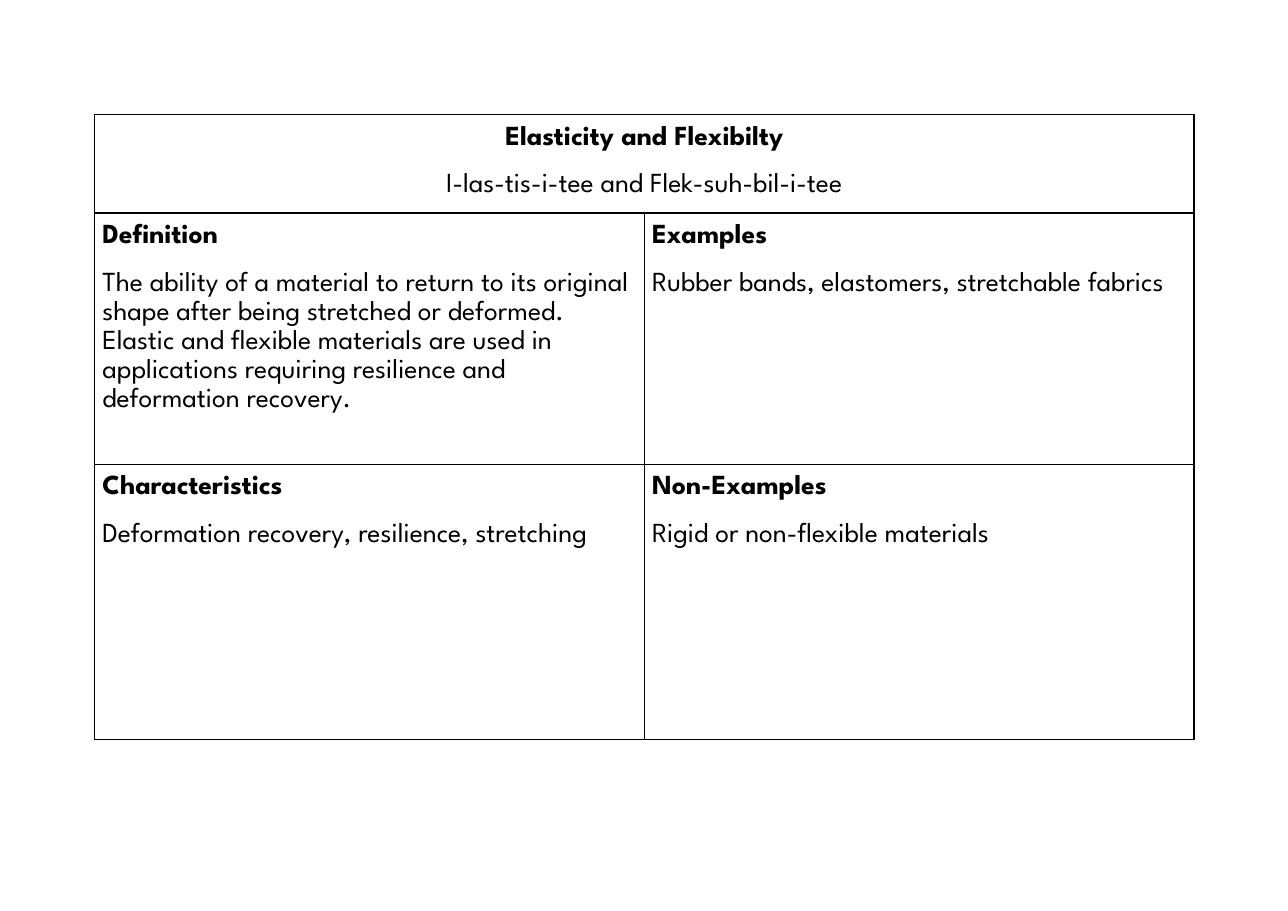
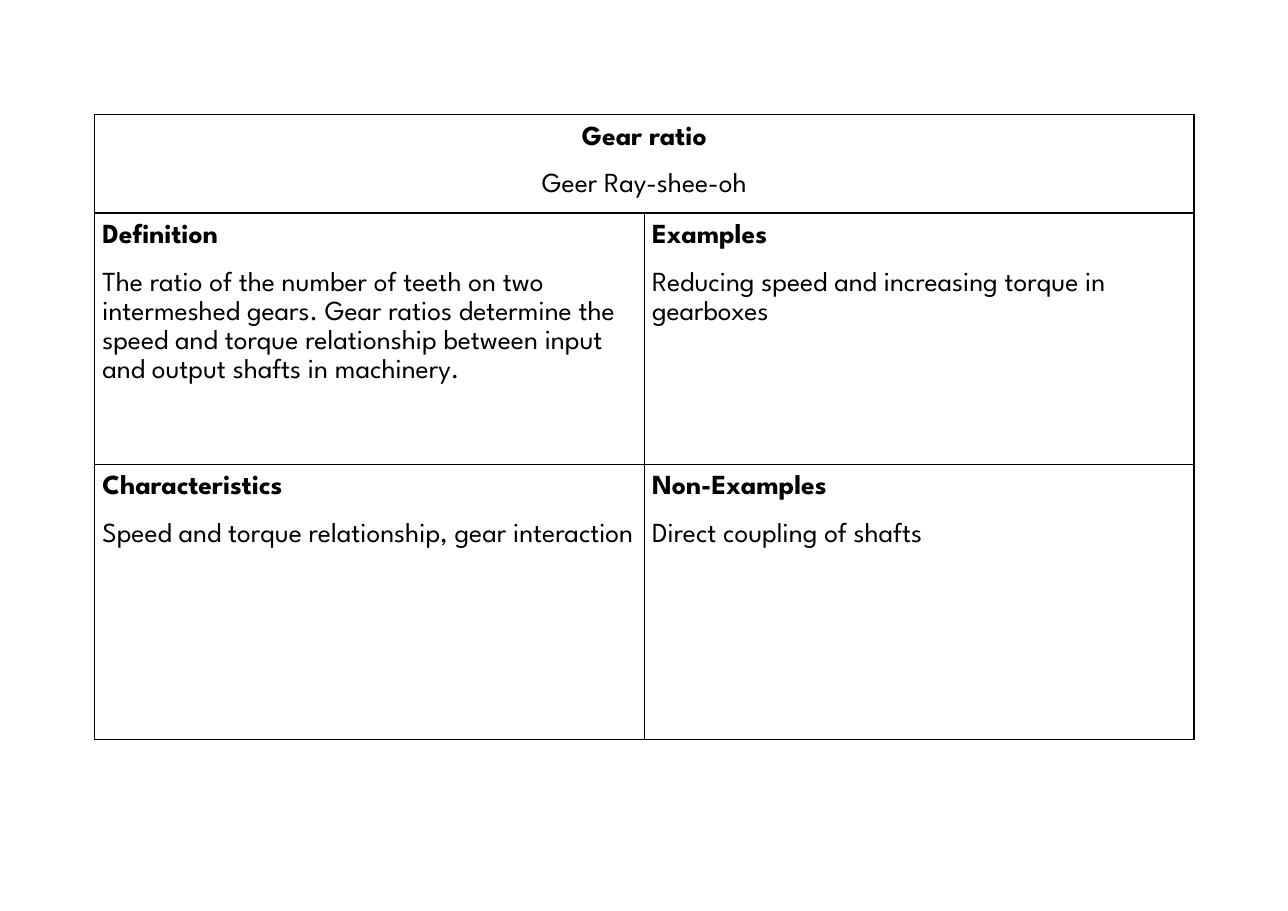
from lxml.etree import SubElement
from pptx import Presentation
from pptx.dml.color import RGBColor as RGB
from pptx.enum.text import PP_ALIGN as AL
from pptx.oxml.ns import qn
from pptx.util import Pt

COLORS = {"text": "000000", "border": "000000"}
FONT = "League Spartan"
LEFT, TOP, INSET = 61.9, 74.9, 5
COL_WIDTH = 359.2
ROW_HEIGHTS = [64.4, 164.2, 180]
HEADINGS = ["Definition", "Examples", "Characteristics", "Non-Examples"]

WORDS = [
    ("Elasticity and Flexibilty", "I-las-tis-i-tee and Flek-suh-bil-i-tee", [
        "The ability of a material to return to its original shape after being "
        "stretched or deformed. Elastic and flexible materials are used in "
        "applications requiring resilience and deformation recovery.",
        "Rubber bands, elastomers, stretchable fabrics",
        "Deformation recovery, resilience, stretching",
        "Rigid or non-flexible materials",
    ]),
    ("Gear ratio", "Geer Ray-shee-oh", [
        "The ratio of the number of teeth on two intermeshed gears. Gear ratios "
        "determine the speed and torque relationship between input and output "
        "shafts in machinery.",
        "Reducing speed and increasing torque in gearboxes",
        "Speed and torque relationship, gear interaction",
        "Direct coupling of shafts",
    ]),
]


def write(p, text, bold=False, align=AL.LEFT, before=0, after=0):
    p.alignment = align
    p.line_spacing = 1.15
    p.space_before, p.space_after = Pt(before), Pt(after)
    r = p.add_run()
    r.text = text
    r.font.name, r.font.size, r.font.bold = FONT, Pt(18), bold
    r.font.color.rgb = RGB.from_string(COLORS["text"])


def style_cell(cell):
    cell.margin_left = cell.margin_right = Pt(INSET)
    cell.margin_top = cell.margin_bottom = Pt(INSET)
    tc_pr = cell._tc.get_or_add_tcPr()
    for side in ("lnL", "lnR", "lnT", "lnB"):
        ln = SubElement(tc_pr, qn(f"a:{side}"), w=str(Pt(1)))
        fill = SubElement(ln, qn("a:solidFill"))
        SubElement(fill, qn("a:srgbClr"), val=COLORS["border"])
    cell.fill.background()


prs = Presentation()
prs.slide_width, prs.slide_height = Pt(841.68), Pt(595.44)

for word, sound, bodies in WORDS:
    s = prs.slides.add_slide(prs.slide_layouts[6])
    table = s.shapes.add_table(3, 2, Pt(LEFT), Pt(TOP), Pt(2 * COL_WIDTH),
                               Pt(sum(ROW_HEIGHTS))).table
    table.first_row = table.horz_banding = False
    for col in table.columns:
        col.width = Pt(COL_WIDTH)
    for row, height in zip(table.rows, ROW_HEIGHTS):
        row.height = Pt(height)
    for cell in table.iter_cells():
        style_cell(cell)

    title = table.cell(0, 0)
    title.merge(table.cell(0, 1))
    tf = title.text_frame
    write(tf.paragraphs[0], word, bold=True, align=AL.CENTER)
    write(tf.add_paragraph(), sound, align=AL.CENTER, before=12, after=12)

    for i, (heading, body) in enumerate(zip(HEADINGS, bodies)):
        tf = table.cell(1 + i // 2, i % 2).text_frame
        write(tf.paragraphs[0], heading, bold=True)
        write(tf.add_paragraph(), body, before=12)

prs.save("out.pptx")
